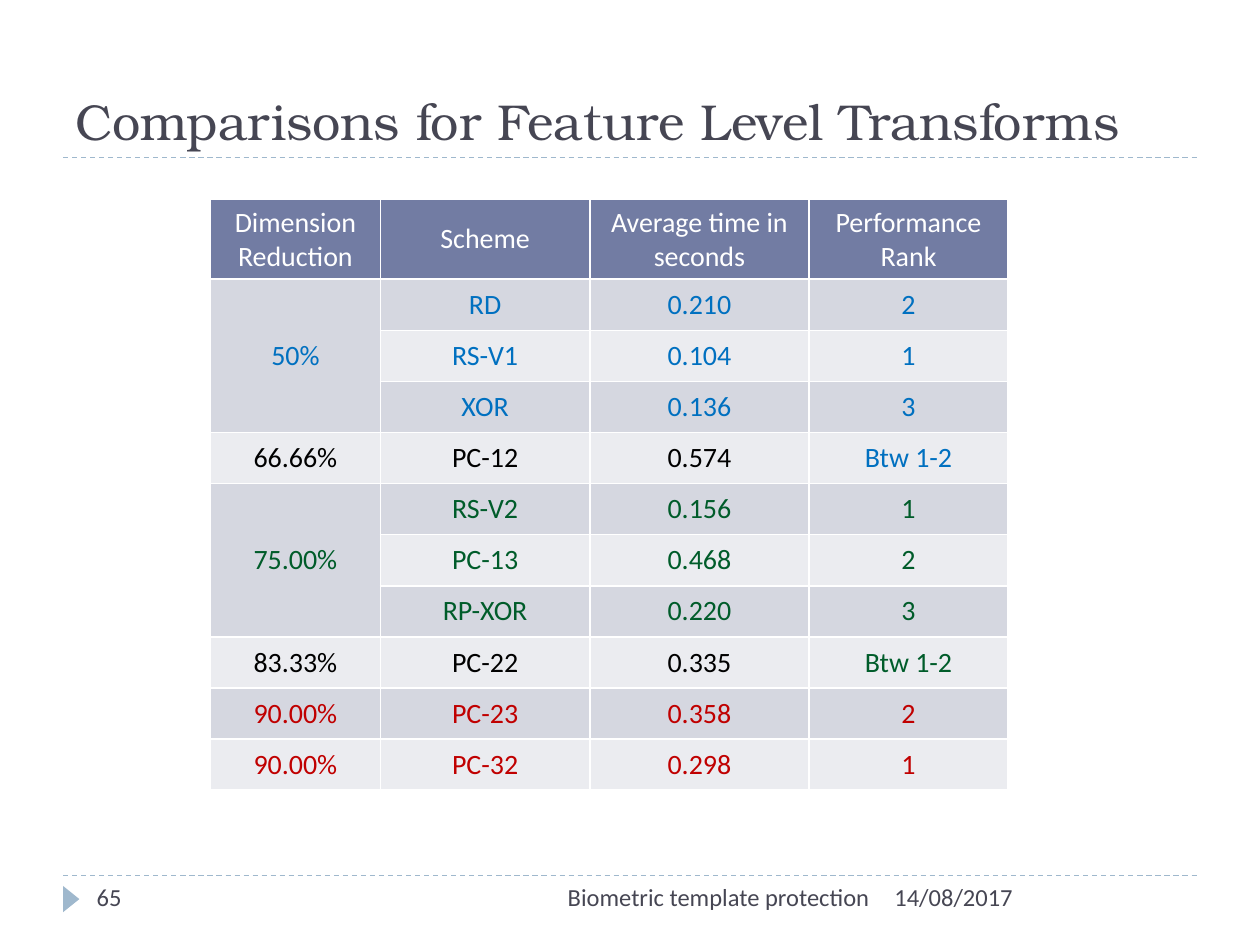
import pptx
import pptx.dml.color
import pptx.enum.dml
import pptx.enum.shapes
import pptx.enum.text
import pptx.oxml.ns
import pptx.util
from lxml import etree

Cm = pptx.util.Cm
Pt = pptx.util.Pt
ALIGN = pptx.enum.text.PP_ALIGN
ANCHOR = pptx.enum.text.MSO_ANCHOR

COLORS = {
    "ink": "464653", "accent": "9FB8CD", "header": "727CA3",
    "dark_band": "D5D7E0", "light_band": "EBECF0", "white": "FFFFFF",
    "black": "000000", "blue": "0070C0", "green": "005C2A", "red": "C00000",
}
HEADERS = ["Dimension Reduction", "Scheme", "Average time in seconds", "Performance Rank"]
GROUPS = [
    ("50%", "blue", "blue", [("RD", "0.210", "2"), ("RS-V1", "0.104", "1"), ("XOR", "0.136", "3")]),
    ("66.66%", "black", "blue", [("PC-12", "0.574", "Btw 1-2")]),
    ("75.00%", "green", "green", [("RS-V2", "0.156", "1"), ("PC-13", "0.468", "2"), ("RP-XOR", "0.220", "3")]),
    ("83.33%", "black", "green", [("PC-22", "0.335", "Btw 1-2")]),
    ("90.00%", "red", "red", [("PC-23", "0.358", "2")]),
    ("90.00%", "red", "red", [("PC-32", "0.298", "1")]),
]


def rgb(name):
    return pptx.dml.color.RGBColor.from_string(COLORS[name])


def apply(obj, values):
    for name, value in values.items():
        setattr(obj, name, value)


class Deck:
    def __init__(self):
        self.prs = pptx.Presentation()
        apply(self.prs, {"slide_width": Cm(25.4), "slide_height": Cm(19.05)})
        self.s = self.prs.slides.add_slide(self.prs.slide_layouts[6])

    def label(self, tf, text, size, color, align=ALIGN.LEFT, font="Calibri"):
        p = tf.paragraphs[0]
        p.alignment = align
        r = p.add_run()
        r.text = text
        apply(r.font, {"name": font, "size": Pt(size), "bold": False})
        r.font.color.rgb = rgb(color)

    def text(self, box, text, size=14, anchor=ANCHOR.TOP, **style):
        tf = self.s.shapes.add_textbox(*map(Cm, box)).text_frame
        apply(tf, {"word_wrap": True, "vertical_anchor": anchor})
        self.label(tf, text, size, "ink", **style)

    def rule(self, y):
        sp = self.s.shapes.add_connector(
            pptx.enum.shapes.MSO_CONNECTOR.STRAIGHT, Cm(1.27), Cm(y), Cm(24.13), Cm(y))
        apply(sp.line, {"width": Pt(0.75), "dash_style": pptx.enum.dml.MSO_LINE.DASH})
        sp.line.color.rgb = rgb("accent")
        etree.SubElement(sp.element.spPr, pptx.oxml.ns.qn("a:effectLst"))

    def triangle(self, box):
        sp = self.s.shapes.add_shape(
            pptx.enum.shapes.MSO_SHAPE.ISOSCELES_TRIANGLE, *map(Cm, box))
        sp.rotation = 90
        sp.shadow.inherit = False
        sp.fill.solid()
        sp.fill.fore_color.rgb = rgb("accent")
        sp.line.fill.background()

    def cell(self, cell, text, color, fill):
        cell.vertical_anchor = ANCHOR.MIDDLE
        cell.fill.solid()
        cell.fill.fore_color.rgb = rgb(fill)
        if text:
            self.label(cell.text_frame, text, 16, color, ALIGN.CENTER)

    def table(self, box, widths, heights):
        table = self.s.shapes.add_table(len(heights), len(widths), *map(Cm, box)).table
        for column, width in zip(table.columns, widths):
            column.width = Cm(width)
        for row, height in zip(table.rows, heights):
            row.height = Cm(height)
        for c, text in enumerate(HEADERS):
            self.cell(table.cell(0, c), text, "white", "header")
        row = 1
        for reduction, color, rank_color, schemes in GROUPS:
            first = row
            for scheme, seconds, rank in schemes:
                fill = "dark_band" if row % 2 else "light_band"
                texts = [reduction if row == first else "", scheme, seconds, rank]
                for c, text in enumerate(texts):
                    self.cell(table.cell(row, c), text, rank_color if c == 3 else color, fill)
                row += 1
            if len(schemes) > 1:
                table.cell(first, 0).merge(table.cell(row - 1, 0))


def main():
    deck = Deck()
    for y in (17.65, 3.18):
        deck.rule(y)
    deck.triangle((1.17, 17.96, 0.53, 0.33))
    deck.text((1.27, 0.43, 22.86, 2.74), "Comparisons for Feature Level Transforms",
              28.8, ANCHOR.BOTTOM, font="TeX Gyre Bonum")
    deck.text((17.78, 17.65, 6.35, 1.02), "14/08/2017")
    deck.text((8.05, 17.65, 9.73, 1.02), "Biometric template protection", align=ALIGN.RIGHT)
    deck.text((1.7, 17.65, 5.51, 1.02), "65")
    deck.table((4.24, 4.02, 16.08, 11.91), (3.43, 4.22, 4.42, 4.01), [1.4] + [1.03] * 10)
    deck.prs.save("out.pptx")


if __name__ == "__main__":
    main()
